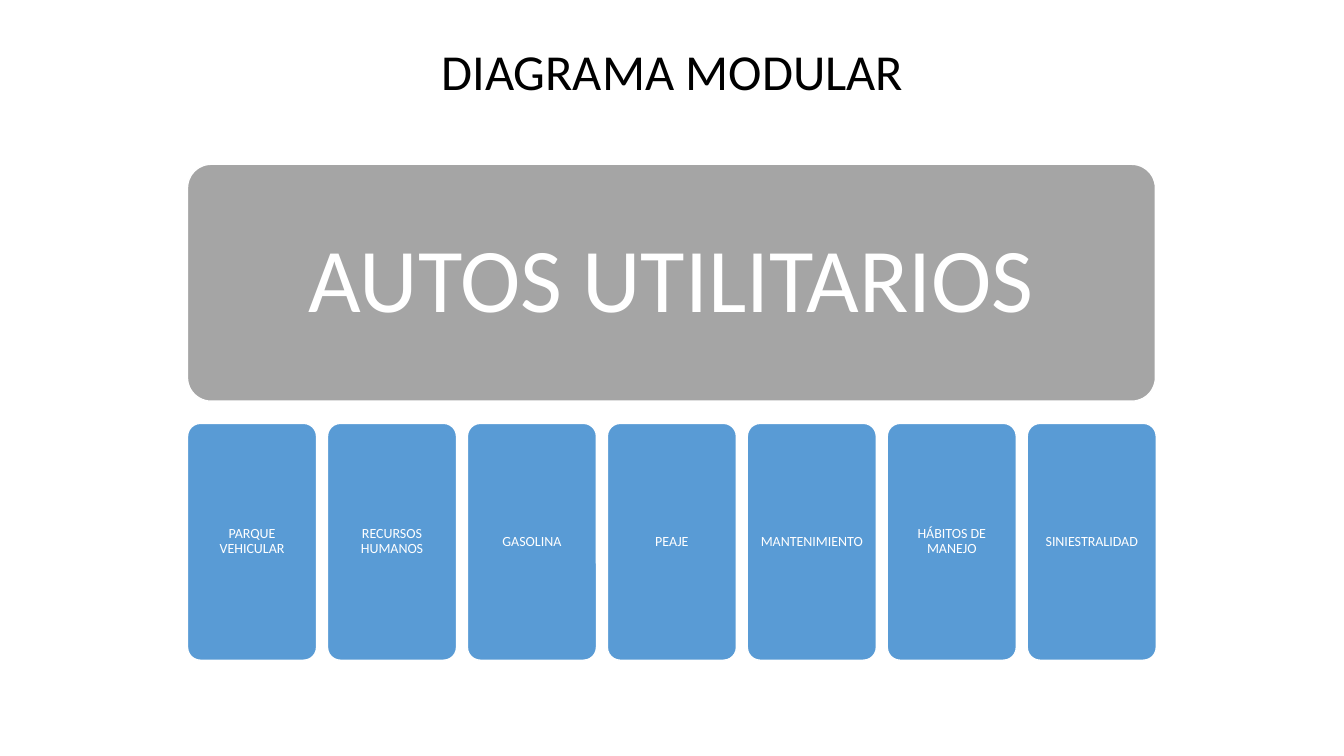
"""Build the modular diagram slide for the utility cars."""
import pptx
import pptx.dml.color
import pptx.enum.shapes
import pptx.enum.text
import pptx.util

Inches, Pt = pptx.util.Inches, pptx.util.Pt


def color(fill, code):
    fill.solid()
    fill.fore_color.rgb = pptx.dml.color.RGBColor.from_string(code)


def write(shape, text, size, code, pads, lead, anchor):
    frame = shape.text_frame
    look = {"word_wrap": True, "vertical_anchor": anchor}
    sides = ("left", "top", "right", "bottom")
    look.update({f"margin_{side}": Inches(pad) for side, pad in zip(sides, pads)})
    for key, value in look.items():
        setattr(frame, key, value)
    para = frame.paragraphs[0]
    para.alignment = pptx.enum.text.PP_ALIGN.CENTER
    para.line_spacing = lead
    run = para.add_run()
    for key, value in {"text": text}.items():
        setattr(run, key, value)
    for key, value in {"name": "Calibri", "size": Pt(size)}.items():
        setattr(run.font, key, value)
    color(run.font.fill, code)


deck = pptx.Presentation()
deck.slide_width, deck.slide_height = Inches(13.33), Inches(7.5)
slide = deck.slides.add_slide(deck.slide_layouts[6])
anchors = pptx.enum.text.MSO_ANCHOR

left, step, height = 1.86, 1.388, 2.35
modules = ["PARQUE VEHICULAR", "RECURSOS HUMANOS", "GASOLINA", "PEAJE",
           "MANTENIMIENTO", "HÁBITOS DE MANEJO", "SINIESTRALIDAD"]
blocks = [("AUTOS UTILITARIOS", left, 1.63, 9.6, "A5A5A5", 65, 0.27)]
blocks += [(name, left + i * step, 4.2, 1.28, "599BD5", 10, 0.04)
           for i, name in enumerate(modules)]

for name, x, y, width, tint, size, pad in blocks:
    block = slide.shapes.add_shape(
        pptx.enum.shapes.MSO_SHAPE.ROUNDED_RECTANGLE,
        Inches(x), Inches(y), Inches(width), Inches(height))
    block.adjustments[0] = 0.1
    block.shadow.inherit = False
    color(block.fill, tint)
    color(block.line.fill, "FFFFFF")
    block.line.width = Pt(1)
    write(block, name, size, "FFFFFF", [pad] * 4, 0.9, anchors.MIDDLE)

title = slide.shapes.add_textbox(Inches(2.72), Inches(0.35), Inches(7.9), Inches(0.71))
write(title, "DIAGRAMA MODULAR", 36, "000000", [0.1, 0.05] * 2, 1.0, anchors.TOP)

deck.save("out.pptx")
